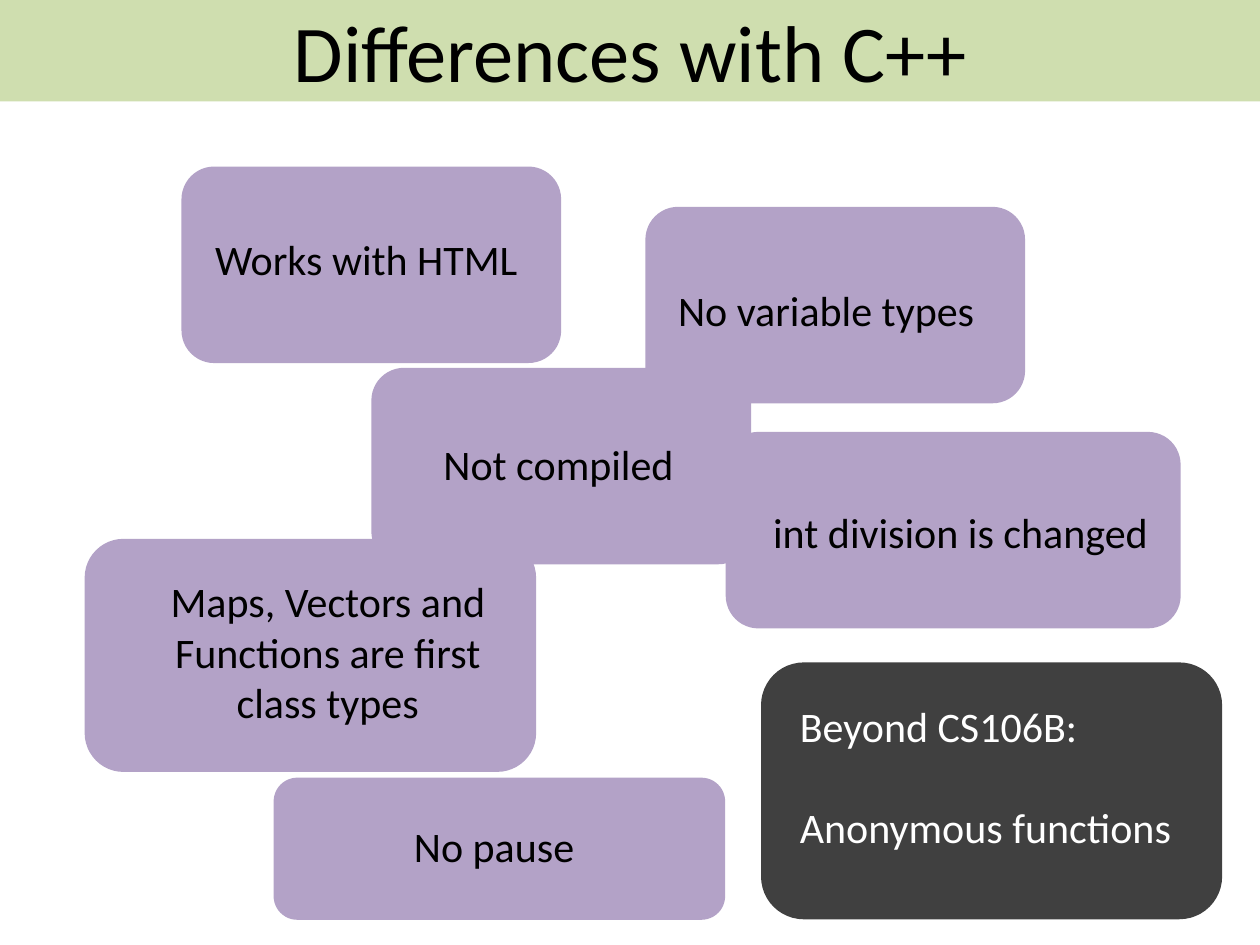
from pptx import Presentation
from pptx.util import Pt
from pptx.dml.color import RGBColor
from pptx.enum.shapes import MSO_SHAPE as Shape
from pptx.enum.text import MSO_ANCHOR as Anchor, MSO_AUTO_SIZE as Fit, PP_ALIGN as Align
from lxml import etree

GREEN = RGBColor(0xC3, 0xD6, 0x9B)
PURPLE = RGBColor(0xB3, 0xA2, 0xC7)
GRAY = RGBColor(0x40, 0x40, 0x40)
BLACK = RGBColor(0, 0, 0)
WHITE = RGBColor(255, 255, 255)
FONT = "Calibri"

deck = Presentation()
deck.slide_width, deck.slide_height = Pt(720), Pt(540)
slide = deck.slides.add_slide(deck.slide_layouts[5])

title = slide.shapes.title
title.left, title.top, title.width, title.height = Pt(0), Pt(0), Pt(720), Pt(58)
title.fill.solid()
title.fill.fore_color.rgb = GREEN
color = title.fill._xPr.solidFill[0]
etree.SubElement(color, color.tag.replace("srgbClr", "alpha"), val="80000")
frame = title.text_frame
frame.text = "Differences with C++"
frame.auto_size = Fit.NONE
frame.vertical_anchor = Anchor.MIDDLE
head = frame.paragraphs[0]
head.alignment = Align.CENTER
head.font.name, head.font.size = FONT, Pt(46)
head.font.color.rgb = BLACK


def add_card(box, fill):
    card = slide.shapes.add_shape(Shape.ROUNDED_RECTANGLE, *map(Pt, box))
    card.shadow.inherit = False
    card.fill.solid()
    card.fill.fore_color.rgb = fill
    card.line.fill.background()


def add_label(box, text, wrap, align, ink):
    frame = slide.shapes.add_textbox(*map(Pt, box)).text_frame
    frame.text = text
    frame.word_wrap = wrap
    frame.auto_size = Fit.SHAPE_TO_FIT_TEXT
    for part in frame.paragraphs:
        part.alignment = align
        part.font.name, part.font.size = FONT, Pt(24)
        part.font.color.rgb = ink
    return frame


for box, fill in [
    ((368.8, 118.2, 217, 112.3), PURPLE),
    ((212.2, 210.2, 217, 112.3), PURPLE),
    ((414.7, 246.8, 260, 112.3), PURPLE),
    ((48.4, 307.9, 258, 133.2), PURPLE),
    ((103.7, 95.2, 217, 112.3), PURPLE),
    ((434.9, 378.5, 263.5, 146.8), GRAY),
    ((156.4, 444.4, 258, 81.2), PURPLE),
]:
    add_card(box, fill)

for box, text, wrap, align in [
    ((115.8, 129.8, 190, 36), "Works with HTML", False, Align.LEFT),
    ((246.3, 247, 147.6, 36), "Not compiled", False, Align.LEFT),
    ((434.7, 286, 231.8, 36), "int division is changed", False, Align.LEFT),
    ((380.4, 159, 185.8, 36), "No variable types", False, Align.LEFT),
    ((88, 325.5, 198.7, 94.3), "Maps, Vectors and Functions are first class types", True, Align.CENTER),
    ((183, 465.4, 198.7, 36), "No pause", True, Align.CENTER),
]:
    add_label(box, text, wrap, align, BLACK)

beyond = add_label((450, 397, 231.8, 94.3), "Beyond CS106B:\nAnonymous functions", True, Align.LEFT, WHITE)
beyond.paragraphs[1].space_before = Pt(28.8)

deck.save("out.pptx")
